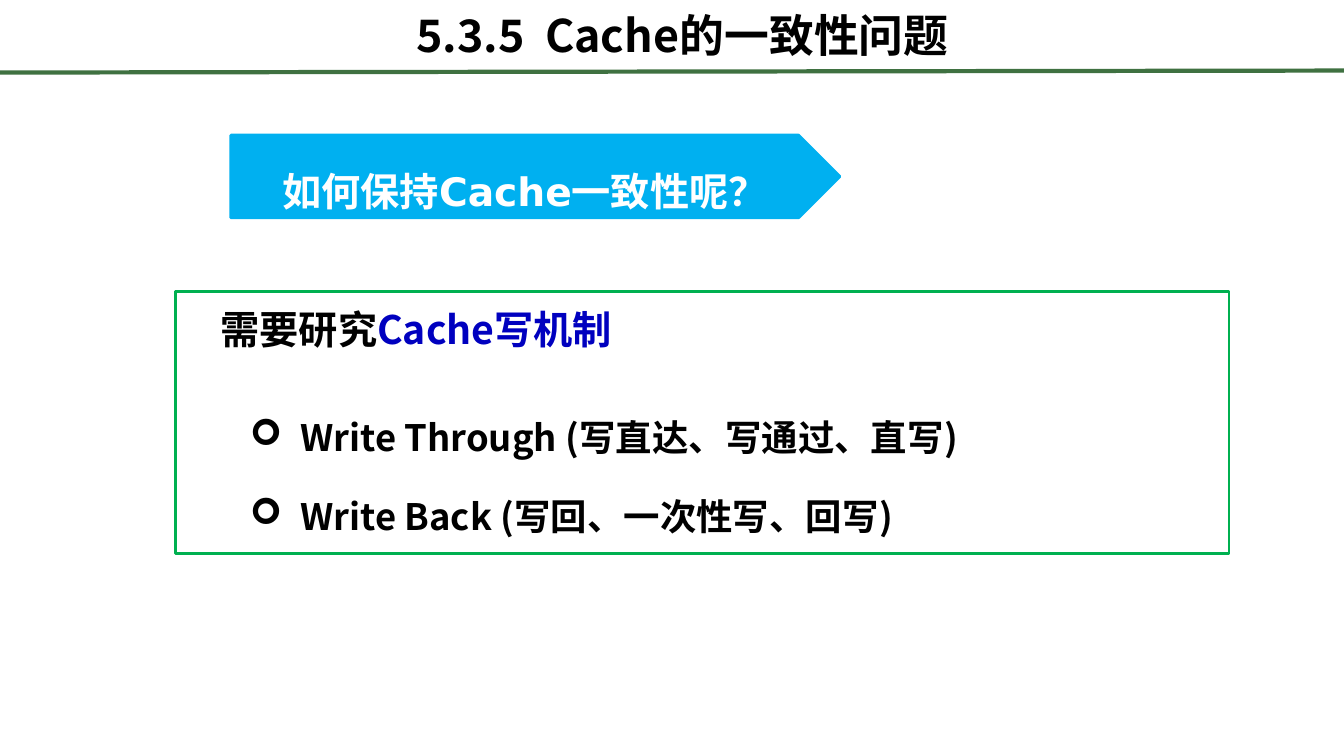
from lxml import etree
from pptx import Presentation, util as u
from pptx.dml.color import RGBColor
from pptx.enum import shapes, text
from pptx.oxml.ns import qn

# Content
TITLE = "5.3.5  Cache的一致性问题"
QUESTION = "如何保持Cache一致性呢？"
TOPIC = [("需要研究", "black"), ("Cache写机制", "blue")]
MECHANISMS = ["Write Through (写直达、写通过、直写)",
              "Write Back (写回、一次性写、回写)"]

# Look
COLOURS = {"black": "000000", "white": "FFFFFF", "blue": "0000BF",
           "rule": "3F7141", "frame": "00B050", "banner": "00B0F0"}
CJK, LATIN = "Noto Sans CJK SC", "DejaVu Sans"
WIDTH, HEIGHT = 13.33, 7.5
FIRST_MECHANISM, MECHANISM_STEP = 3.81, 0.78


def rgb(name):
    return RGBColor.from_string(COLOURS[name])


def inches(*lengths):
    return [u.Inches(length) for length in lengths]


def write(holder, runs, size, spacing, font=CJK, align=text.PP_ALIGN.LEFT,
          anchor=text.MSO_ANCHOR.TOP, margin=0, indent=0, bullet=None):
    frame = holder.text_frame
    frame.word_wrap = True
    frame.vertical_anchor = anchor
    line = frame.paragraphs[0]
    line.alignment, line.line_spacing = align, spacing
    props = line._p.get_or_add_pPr()
    props.set("marL", str(u.Inches(margin)))
    props.set("indent", str(u.Inches(indent)))
    if bullet:
        etree.SubElement(props, qn("a:buFont"), typeface="Wingdings")
        etree.SubElement(props, qn("a:buChar"), char=bullet)
    for words, colour in runs:
        run = line.add_run()
        run.text = words
        for key, value in {"name": font, "size": u.Pt(size), "bold": True}.items():
            setattr(run.font, key, value)
        run.font.color.rgb = rgb(colour)
        latin = run._r.rPr.find(qn("a:latin"))
        east_asian = etree.Element(qn("a:ea"), typeface=CJK)
        latin.addnext(east_asian)


def panel(slide, kind, box, fill, outline):
    shape = slide.shapes.add_shape(kind, *inches(*box))
    shape.shadow.inherit = False
    shape.fill.solid()
    shape.fill.fore_color.rgb = rgb(fill)
    shape.line.color.rgb = rgb(outline)
    shape.line.width = u.Pt(2)
    return shape


def main():
    deck = Presentation()
    deck.slide_width, deck.slide_height = inches(WIDTH, HEIGHT)
    slide = deck.slides.add_slide(deck.slide_layouts[6])

    # Rule under the title
    rule = slide.shapes.add_connector(shapes.MSO_CONNECTOR.STRAIGHT,
                                      *inches(0, 0.72, WIDTH, 0.7))
    rule.line.color.rgb = rgb("rule")
    rule.line.width = u.Pt(3)
    etree.SubElement(rule._element.spPr, qn("a:effectLst"))

    # Framed topic
    topic = panel(slide, shapes.MSO_SHAPE.RECTANGLE, (1.74, 2.89, 10.45, 2.6),
                  "white", "frame")
    write(topic, TOPIC, 28, 1.2, margin=0.35)

    # Question banner
    question = panel(slide, shapes.MSO_SHAPE.PENTAGON, (2.29, 1.34, 6.04, 0.82),
                     "banner", "banner")
    write(question, [(QUESTION, "white")], 28, 1.6, font=LATIN,
          align=text.PP_ALIGN.CENTER, anchor=text.MSO_ANCHOR.MIDDLE)

    # Write mechanisms
    for row, words in enumerate(MECHANISMS):
        top = FIRST_MECHANISM + row * MECHANISM_STEP
        mechanism = slide.shapes.add_textbox(*inches(2.38, top, 8.02, 0.71))
        write(mechanism, [(words, "black")], 26, 1.6,
              margin=0.5, indent=-0.5, bullet="➢")

    # Title
    title = slide.shapes.add_textbox(*inches(1.65, 0.09, 10.24, 0.74))
    write(title, [(TITLE, "black")], 32, 0.9, align=text.PP_ALIGN.CENTER)

    deck.save("out.pptx")


if __name__ == "__main__":
    main()
